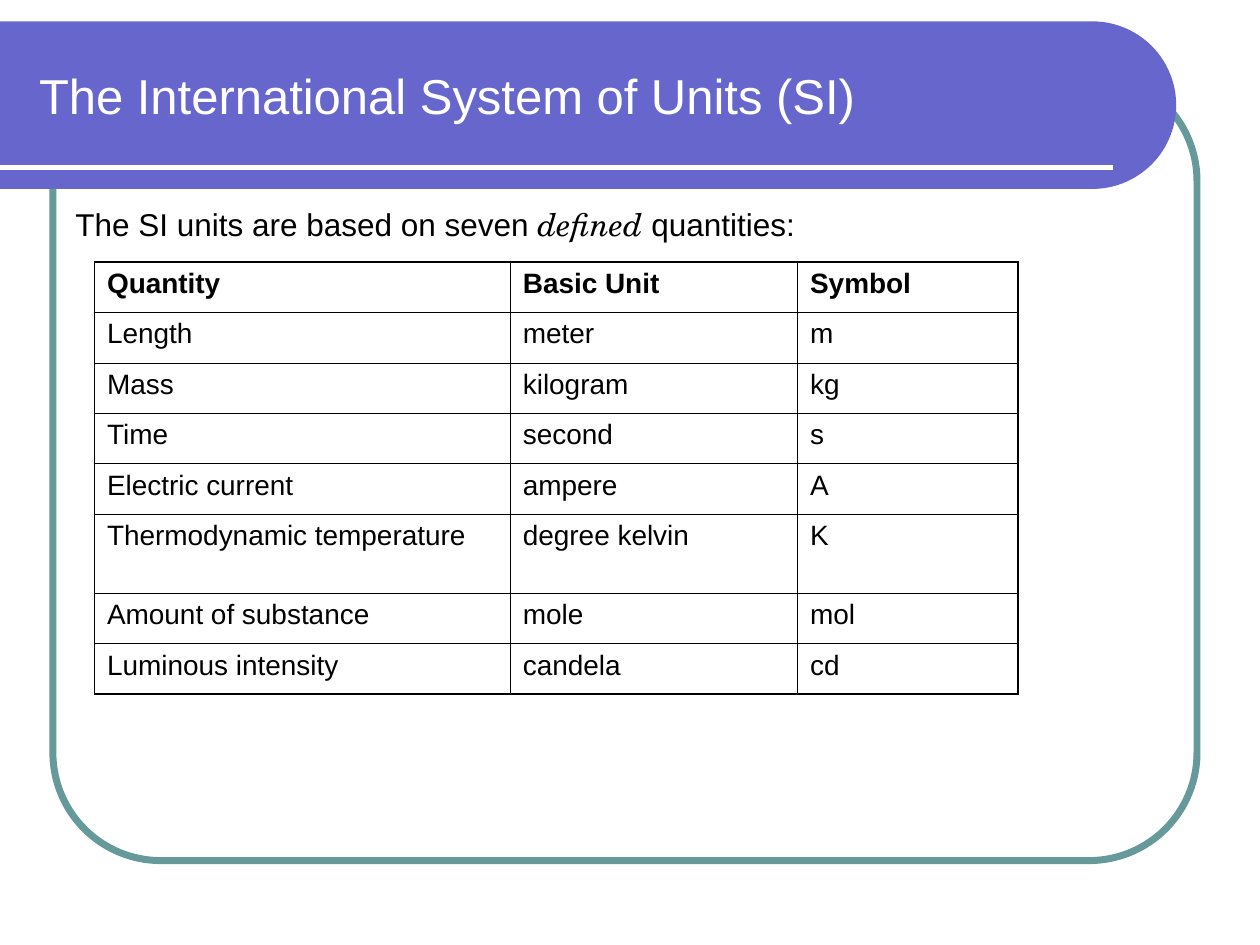
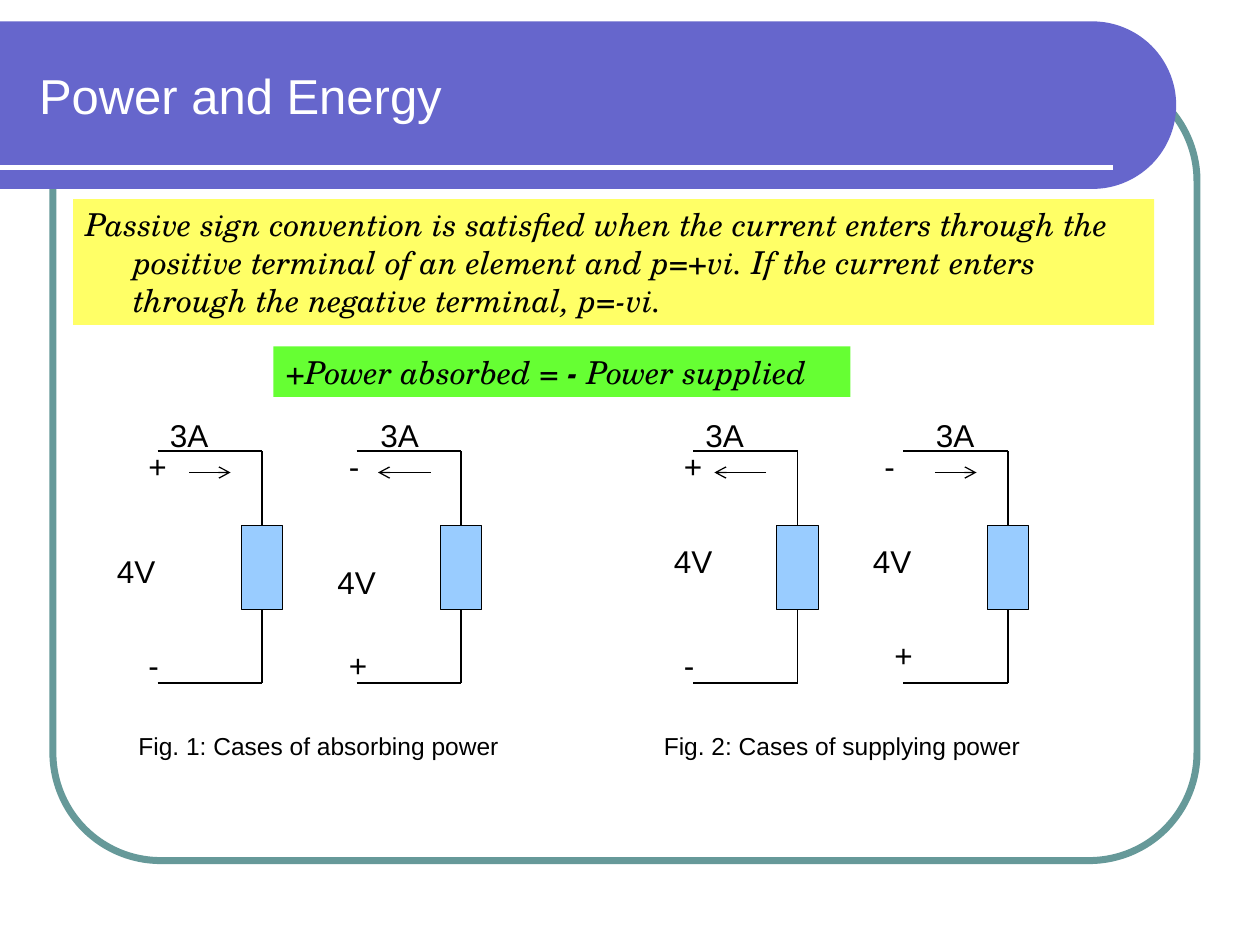
"""Build two slides on SI units and the sign convention for electric power."""
import math
from dataclasses import dataclass
from typing import NamedTuple

from lxml import etree
from pptx import Presentation
from pptx import util as u
from pptx.dml import color as c
from pptx.enum import shapes as es
from pptx.enum import text as et
from pptx.oxml import ns


@dataclass(frozen=True)
class Theme:
    sans: str = "Arial"
    serif: str = "TeX Gyre Schola"
    ink: str = "000000"
    white: str = "FFFFFF"
    band: str = "6666CC"
    frame: str = "669999"
    note: str = "FFFF66"
    rule: str = "66FF33"
    load: str = "99CCFF"
    head: float = 28
    body: float = 18
    cell: float = 16
    small: float = 14
    wire: float = 0.75
    edge: float = 1.08
    grid: float = 0.45


T = Theme()


class Run(NamedTuple):
    text: str
    font: str = T.sans
    bold: bool = False
    slant: bool = False


class Box(NamedTuple):
    left: float
    top: float
    width: float
    height: float


class Spot(NamedTuple):
    left: float
    top: float


class Case(NamedTuple):
    left: float
    top: str
    low: str
    first: Spot
    last: Spot
    volts: Spot
    amps: float
    tail: float
    tip: float


ROWS = [
    ("Quantity", "Basic Unit", "Symbol"),
    ("Length", "meter", "m"),
    ("Mass", "kilogram", "kg"),
    ("Time", "second", "s"),
    ("Electric current", "ampere", "A"),
    ("Thermodynamic temperature", "degree kelvin", "K"),
    ("Amount of substance", "mole", "mol"),
    ("Luminous intensity", "candela", "cd"),
]
WIDTHS = (3.3, 2.28, 1.75)
ROW, TALL = 0.4, 0.63
CASES = [
    Case(1.25, "+", "-", Spot(1.08, 3.5), Spot(1.08, 5.08), Spot(0.83, 4.33), 1.25, 1.5, 1.83),
    Case(2.83, "-", "+", Spot(2.67, 3.5), Spot(2.67, 5.08), Spot(2.58, 4.42), 2.92, 3.42, 3),
    Case(5.5, "+", "-", Spot(5.33, 3.5), Spot(5.33, 5.08), Spot(5.25, 4.25), 5.5, 6.08, 5.67),
    Case(7.17, "-", "+", Spot(6.92, 3.5), Spot(7, 5), Spot(6.83, 4.25), 7.33, 7.42, 7.75),
]


def rgb(tone: str) -> c.RGBColor:
    """Turn a hex string into a colour."""
    return c.RGBColor.from_string(tone)


def inch(*nums: float) -> list:
    """Turn numbers into lengths."""
    return [u.Inches(n) for n in nums]


def write(frame, runs: list[Run], size: float, tone: str = T.ink) -> None:
    """Add the runs to the first paragraph of a frame."""
    para = frame.paragraphs[0]
    para.alignment = et.PP_ALIGN.LEFT
    for item in runs:
        run = para.add_run()
        run.text = item.text
        font = run.font
        font.name, font.size = item.font, u.Pt(size)
        font.bold, font.italic = item.bold, item.slant
        font.color.rgb = rgb(tone)


def label(slide, box: Box, runs: list[Run], size: float = T.body):
    """Place a text box and return it."""
    shape = slide.shapes.add_textbox(*inch(*box))
    frame = shape.text_frame
    frame.word_wrap = True
    frame.vertical_anchor = et.MSO_ANCHOR.TOP
    write(frame, runs, size)
    return shape


def panel(slide, box: Box, runs: list[Run], fill: str):
    """Place a filled text box and return it."""
    shape = label(slide, box, runs)
    shape.fill.solid()
    shape.fill.fore_color.rgb = rgb(fill)
    return shape


def line(host, start: Spot, end: Spot, tone: str = T.ink, width: float = T.wire, arrow: bool = False):
    """Draw a straight line, with an arrowhead if asked."""
    link = host.add_connector(es.MSO_CONNECTOR.STRAIGHT, *inch(*start, *end))
    link.line.color.rgb = rgb(tone)
    link.line.width = u.Pt(width)
    if arrow:
        etree.SubElement(link.line._get_or_add_ln(), ns.qn("a:tailEnd"), type="arrow")
    etree.SubElement(link._element.spPr, ns.qn("a:effectLst"))
    return link


def dress(slide) -> None:
    """Draw the frame and band, then move them to the layout."""
    frame = slide.shapes.add_shape(es.MSO_SHAPE.ROUNDED_RECTANGLE, *inch(0.42, 0.58, 9.08, 6.25))
    frame.adjustments[0] = 0.137
    frame.fill.background()
    frame.line.color.rgb = rgb(T.frame)
    frame.line.width = u.Pt(4)

    top, low, hub = 0.17, 1.5, 8.67
    mid, rad = (top + low) / 2, (low - top) / 2
    turns = [math.radians(a) for a in range(-90, 91, 3)]
    arc = [inch(hub + rad * math.cos(a), mid + rad * math.sin(a)) for a in turns]
    pen = slide.shapes.build_freeform(*inch(0, top))
    pen.add_line_segments([*arc, inch(0, low)], close=True)
    band = pen.convert_to_shape()
    band.fill.solid()
    band.fill.fore_color.rgb = rgb(T.band)
    band.line.fill.background()
    for shape in (frame, band):
        shape.shadow.inherit = False

    stripe = line(slide.shapes, Spot(0, 1.33), Spot(8.83, 1.33), T.white, 3)
    tree = slide.slide_layout.shapes._spTree
    for n, shape in enumerate((frame, band, stripe)):
        shape._element.xpath(".//p:cNvPr")[0].set("id", str(101 + n))
        tree.insert(2 + n, shape._element)


def start(deck, title: str):
    """Add a slide with its title set."""
    slide = deck.slides.add_slide(deck.slide_layouts[5])
    head = slide.shapes.title
    head.left, head.top, head.width, head.height = inch(0.21, 0.25, 8.77, 1)
    frame = head.text_frame
    frame.auto_size = et.MSO_AUTO_SIZE.NONE
    frame.vertical_anchor = et.MSO_ANCHOR.MIDDLE
    write(frame, [Run(title)], T.head, T.white)
    return slide


def border(cell, sides: dict[str, float]) -> None:
    """Set the border widths of a cell."""
    props = cell._tc.get_or_add_tcPr()
    for side, width in sides.items():
        edge = etree.SubElement(props, ns.qn(f"a:ln{side}"), w=str(u.Pt(width)))
        fill = etree.SubElement(edge, ns.qn("a:solidFill"))
        etree.SubElement(fill, ns.qn("a:srgbClr"), val=T.ink)


def units(slide) -> None:
    """Draw the table of base units."""
    highs = [TALL if row[0].startswith("Thermo") else ROW for row in ROWS]
    box = Box(0.75, 2.08, sum(WIDTHS), sum(highs))
    table = slide.shapes.add_table(len(ROWS), len(WIDTHS), *inch(*box)).table
    table.first_row = table.horz_banding = False
    for col, width in zip(table.columns, WIDTHS):
        col.width = u.Inches(width)
    for r, (row, high) in enumerate(zip(ROWS, highs)):
        table.rows[r].height = u.Inches(high)
        for k, word in enumerate(row):
            cell = table.cell(r, k)
            outer = {"L": k == 0, "R": k == len(row) - 1, "T": r == 0, "B": r == len(ROWS) - 1}
            border(cell, {s: T.edge if out else T.grid for s, out in outer.items()})
            cell.fill.background()
            write(cell.text_frame, [Run(word, bold=r == 0)], T.cell)


def circuit(slide, case: Case) -> None:
    """Draw one element with its wires, signs and current arrow."""
    group = slide.shapes.add_group_shape().shapes
    right, top, low = case.left + 0.83, 3.58, 5.42
    width, high, drop = 0.33, 0.67, 4.17
    load = group.add_shape(es.MSO_SHAPE.RECTANGLE, *inch(right - width / 2, drop, width, high))
    load.shadow.inherit = False
    load.fill.solid()
    load.fill.fore_color.rgb = rgb(T.load)
    load.line.color.rgb = rgb(T.ink)
    load.line.width = u.Pt(T.wire)
    for y, end in ((top, drop), (low, drop + high)):
        line(group, Spot(case.left, y), Spot(right, y))
        line(group, Spot(right, y), Spot(right, end))
    for word, spot, wide in (
        (case.top, case.first, 0.42),
        (case.low, case.last, 0.42),
        ("4V", case.volts, 0.58),
        ("3A", Spot(case.amps, 3.25), 0.58),
    ):
        label(slide, Box(*spot, wide, 0.4), [Run(word)])
    line(slide.shapes, Spot(case.tail, 3.75), Spot(case.tip, 3.75), arrow=True)


def power(slide) -> None:
    """Fill the slide on power and energy."""
    rule = ("Passive sign convention is satisfied when the current enters through the "
            "positive terminal of an element and p=+vi. If the current enters through "
            "the negative terminal, p=-vi.")
    note = panel(slide, Box(0.58, 1.58, 8.58, 1), [Run(rule, T.serif, slant=True)], T.note)
    props = note.text_frame.paragraphs[0]._p.get_or_add_pPr()
    props.set("marL", str(u.Inches(0.38)))
    props.set("indent", str(u.Inches(-0.38)))
    panel(slide, Box(2.17, 2.75, 4.58, 0.4), [
        Run("+Power absorbed = ", T.serif, slant=True),
        Run("-", T.serif, bold=True, slant=True),
        Run(" Power supplied", T.serif, slant=True),
    ], T.rule)
    for case in CASES:
        circuit(slide, case)
    for n, (left, word) in enumerate(((1, "absorbing"), (5.17, "supplying")), 1):
        label(slide, Box(left, 5.75, 3.08, 0.34), [Run(f"Fig. {n}: Cases of {word} power")], T.small)


def main() -> None:
    """Build and save the deck."""
    deck = Presentation()
    deck.slide_width, deck.slide_height = inch(10, 7.5)
    slide = start(deck, "The International System of Units (SI)")
    dress(slide)
    label(slide, Box(0.5, 1.58, 8.42, 0.4), [
        Run("The SI units are based on seven "),
        Run("defined", T.serif, slant=True),
        Run(" quantities:"),
    ])
    units(slide)
    power(start(deck, "Power and Energy"))
    deck.save("out.pptx")


if __name__ == "__main__":
    main()
